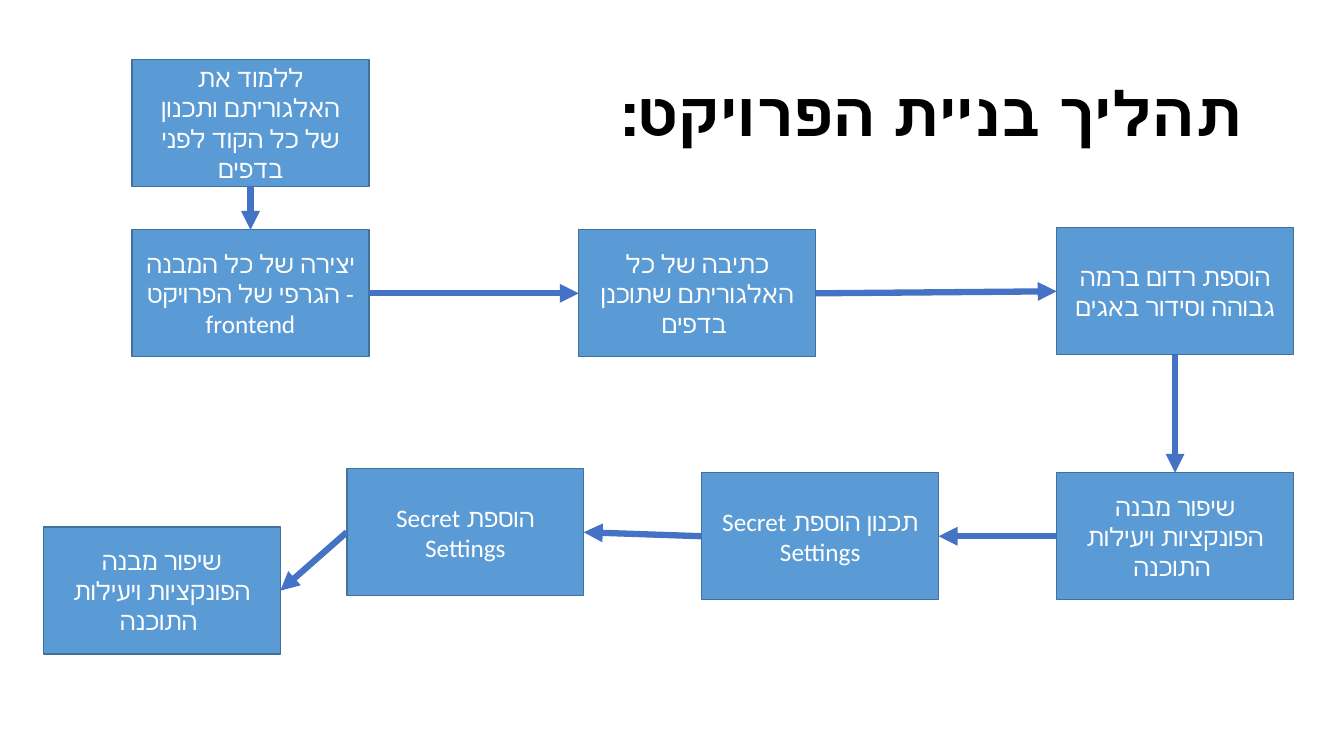
from lxml.etree import SubElement
from pptx import Presentation
from pptx.dml.color import RGBColor
from pptx.enum.shapes import MSO_CONNECTOR as CONNECTOR, MSO_SHAPE as SHAPE
from pptx.enum.text import MSO_ANCHOR as ANCHOR, MSO_AUTO_SIZE as AUTO_SIZE, PP_ALIGN as ALIGN
from pptx.oxml.ns import qn
from pptx.util import Inches, Pt

TOP, LEFT, BOTTOM, RIGHT = range(4)
STEP_WIDTH, STEP_HEIGHT = 2.35, 1.26

STEPS = [
    ("ללמוד את האלגוריתם ותכנון של כל הקוד לפני בדפים", 1.31, 0.59, False),
    ("יצירה של כל המבנה הגרפי של הפרויקט - frontend", 1.31, 2.28, False),
    ("כתיבה של כל האלגוריתם שתוכנן בדפים ", 5.74, 2.28, False),
    ("הוספת רדום ברמה גבוהה וסידור באגים", 10.48, 2.26, False),
    ("שיפור מבנה הפונקציות ויעילות התוכנה ", 10.48, 4.69, False),
    ("תכנון הוספת Secret Settings", 6.96, 4.69, True),
    ("הוספת Secret Settings", 3.44, 4.65, True),
    ("שיפור מבנה הפונקציות ויעילות התוכנה ", 0.43, 5.23, False),
]
LINKS = [
    (BOTTOM, TOP), (RIGHT, LEFT), (RIGHT, LEFT), (BOTTOM, TOP),
    (LEFT, RIGHT), (LEFT, RIGHT), (LEFT, RIGHT),
]


def color(value):
    return RGBColor.from_string(value)


class ProcessSlide:
    """Draws the title, steps and arrows of a process in one style."""

    font = "Calibri"
    step_fill, step_line, arrow_line = "5B9BD5", "42719B", "4472C4"

    def __init__(self, slide):
        self.slide = slide

    def label(self, shape, text, size, ink, align, rtl=False, bold=False):
        frame = shape.text_frame
        frame.text = text
        frame.word_wrap = True
        frame.auto_size = AUTO_SIZE.NONE
        frame.vertical_anchor = ANCHOR.MIDDLE
        frame.margin_left = frame.margin_right = Inches(0.1)
        frame.margin_top = frame.margin_bottom = Inches(0.05)
        paragraph = frame.paragraphs[0]
        paragraph.alignment = align
        if rtl:
            paragraph._p.get_or_add_pPr().set("rtl", "1")
        for run in paragraph.runs:
            run.font.name = self.font
            run.font.size = Pt(size)
            run.font.bold = bold
            run.font.color.rgb = color(ink)
        return paragraph

    def title(self, text):
        heading = self.slide.shapes.title
        heading.left, heading.top = Inches(0.92), Inches(0.43)
        heading.width, heading.height = Inches(11.5), Inches(1.45)
        paragraph = self.label(heading, text, 44, "000000", ALIGN.RIGHT, rtl=True, bold=True)
        paragraph.line_spacing = 0.9

    def step(self, text, left, top, rtl):
        box = self.slide.shapes.add_shape(
            SHAPE.RECTANGLE, Inches(left), Inches(top), Inches(STEP_WIDTH), Inches(STEP_HEIGHT))
        box.shadow.inherit = False
        box.fill.solid()
        box.fill.fore_color.rgb = color(self.step_fill)
        box.line.color.rgb = color(self.step_line)
        box.line.width = Pt(1)
        self.label(box, text, 18, "FFFFFF", ALIGN.CENTER, rtl)
        return box

    def arrow(self, source, source_side, target, target_side):
        link = self.slide.shapes.add_connector(CONNECTOR.STRAIGHT, 0, 0, 0, 0)
        link.begin_connect(source, source_side)
        link.end_connect(target, target_side)
        link.line.color.rgb = color(self.arrow_line)
        link.line.width = Pt(4.5)
        SubElement(link.line._get_or_add_ln(), qn("a:tailEnd"), type="triangle")
        SubElement(link._element.spPr, qn("a:effectLst"))


def main():
    deck = Presentation()
    deck.slide_width, deck.slide_height = Inches(13.33), Inches(7.5)
    process = ProcessSlide(deck.slides.add_slide(deck.slide_layouts[5]))
    process.title("תהליך בניית הפרויקט:")
    boxes = [process.step(*step) for step in STEPS]
    for source, target, (source_side, target_side) in zip(boxes, boxes[1:], LINKS):
        process.arrow(source, source_side, target, target_side)
    deck.save("out.pptx")


if __name__ == "__main__":
    main()
